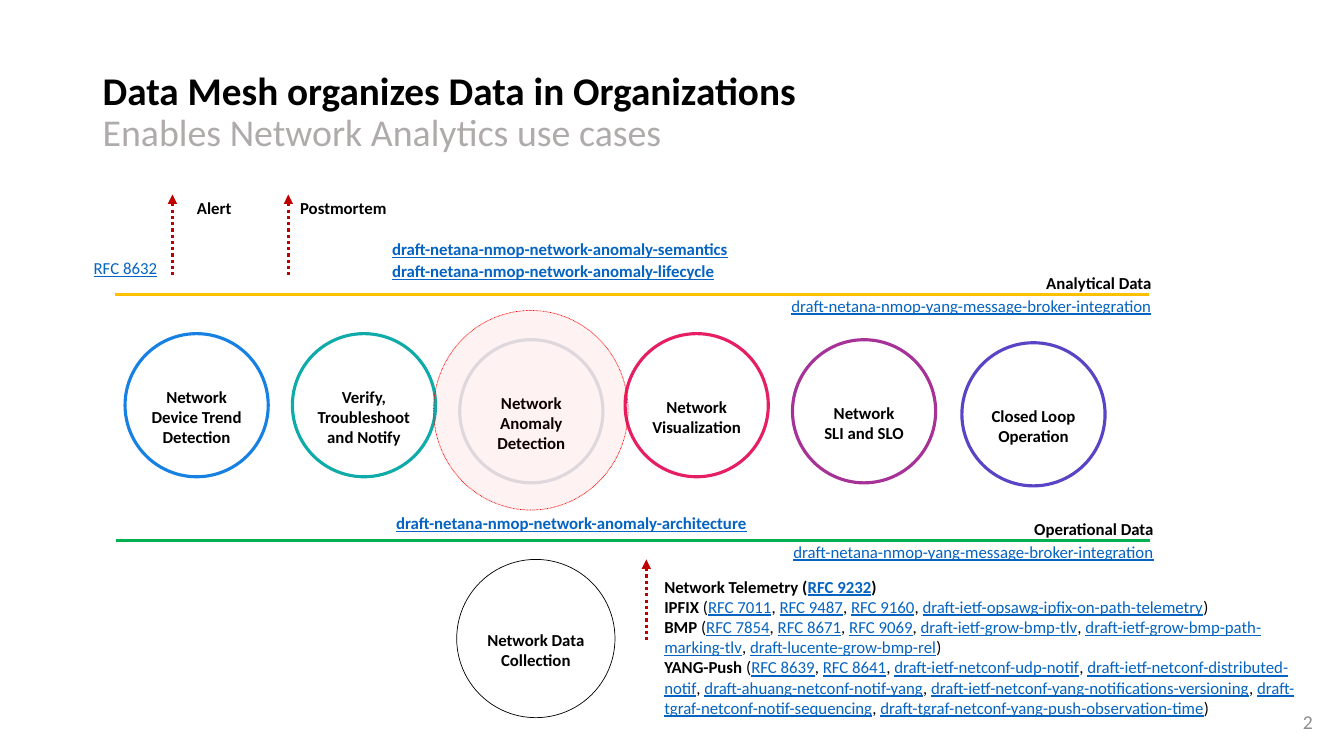
from dataclasses import dataclass

from lxml.etree import SubElement
from pptx import Presentation
from pptx.dml.color import RGBColor
from pptx.enum.dml import MSO_LINE
from pptx.enum.shapes import MSO_CONNECTOR, MSO_SHAPE
from pptx.enum.text import MSO_ANCHOR, PP_ALIGN
from pptx.oxml.ns import qn
from pptx.util import Pt

EMU_PER_PX = 9144

BLACK = RGBColor(0x00, 0x00, 0x00)
WHITE = RGBColor(0xFF, 0xFF, 0xFF)
GRAY = RGBColor(0x8C, 0x8C, 0x8C)
SUBTITLE_GRAY = RGBColor(0xAF, 0xAB, 0xAB)
LINK_BLUE = RGBColor(0x05, 0x63, 0xC1)
ARROW_RED = RGBColor(0xC0, 0x00, 0x00)
HALO_RED = RGBColor(0xFF, 0x00, 0x00)
GREEN = RGBColor(0x00, 0xB0, 0x50)
AMBER = RGBColor(0xFF, 0xC0, 0x00)
BLUE = RGBColor(0x17, 0x81, 0xE3)
TEAL = RGBColor(0x0E, 0xAB, 0xA9)
PALE_GRAY = RGBColor(0xDD, 0xE3, 0xE7)
PINK = RGBColor(0xE6, 0x1E, 0x64)
PURPLE = RGBColor(0xA6, 0x32, 0x97)
INDIGO = RGBColor(0x59, 0x44, 0xC6)


@dataclass(frozen=True)
class Style:
    size: int = 12
    color: RGBColor = BLACK
    bold: bool = False
    underline: bool = False


PLAIN = Style()
BOLD = Style(bold=True)
LINK = Style(color=LINK_BLUE, underline=True)
BOLD_LINK = Style(color=LINK_BLUE, bold=True, underline=True)

CIRCLE_SIZE = 142
USE_CASES = [
    (124, 331, BLUE, "Network Device Trend Detection"),
    (290, 331, TEAL, "Verify, Troubleshoot and Notify"),
    (954, 340, INDIGO, "Closed Loop Operation"),
    (456, 337, PALE_GRAY, "Network Anomaly Detection"),
    (620, 331, PINK, "Network Visualization"),
    (786, 337, PURPLE, "Network\vSLI and SLO"),
]
BROKER_DRAFT = "draft-netana-nmop-yang-message-broker-integration"
TELEMETRY = [
    ("IPFIX ", ["RFC 7011", "RFC 9487", "RFC 9160",
                "draft-ietf-opsawg-ipfix-on-path-telemetry"]),
    ("BMP ", ["RFC 7854", "RFC 8671", "RFC 9069", "draft-ietf-grow-bmp-tlv",
              "draft-ietf-grow-bmp-path-marking-tlv",
              "draft-lucente-grow-bmp-rel"]),
    ("YANG-Push ", ["RFC 8639", "RFC 8641", "draft-ietf-netconf-udp-notif",
                    "draft-ietf-netconf-distributed-notif",
                    "draft-ahuang-netconf-notif-yang",
                    "draft-ietf-netconf-yang-notifications-versioning",
                    "draft-tgraf-netconf-notif-sequencing",
                    "draft-tgraf-netconf-yang-push-observation-time"]),
]


def px(*lengths):
    return [length * EMU_PER_PX for length in lengths]


def set_font(font, style):
    font.name = "Calibri"
    font.size = Pt(style.size)
    font.color.rgb = style.color
    font.bold = style.bold
    font.underline = style.underline


def add_run(paragraph, text, style):
    run = paragraph.add_run()
    run.text = text
    set_font(run.font, style)


def add_box(slide, box, anchor=MSO_ANCHOR.MIDDLE):
    frame = slide.shapes.add_textbox(*px(*box)).text_frame
    frame.word_wrap = True
    frame.vertical_anchor = anchor
    return frame


def add_label(slide, box, text, style, alignment=PP_ALIGN.LEFT, spacing=1.1,
              anchor=MSO_ANCHOR.MIDDLE):
    paragraph = add_box(slide, box, anchor).paragraphs[0]
    paragraph.text = text
    paragraph.alignment = alignment
    paragraph.line_spacing = spacing
    set_font(paragraph.font, style)


def add_two_line_label(slide, box, first, second, alignment, spacing):
    """Add one paragraph of two lines, each a (text, style) pair."""
    paragraph = add_box(slide, box).paragraphs[0]
    paragraph.alignment = alignment
    paragraph.line_spacing = spacing
    add_run(paragraph, *first)
    paragraph.add_line_break()
    add_run(paragraph, *second)


def add_ellipse(slide, box, fill_color, line_color, line_width):
    shape = slide.shapes.add_shape(MSO_SHAPE.OVAL, *px(*box))
    shape.shadow.inherit = False
    shape.fill.solid()
    shape.fill.fore_color.rgb = fill_color
    shape.line.color.rgb = line_color
    shape.line.width = Pt(line_width)
    return shape


def add_circle(slide, left, top, size, color, line_width, text):
    """Add a white ring whose label sits a little below its middle."""
    shape = add_ellipse(slide, (left, top, size, size), WHITE, color, line_width)
    frame = shape.text_frame
    frame.word_wrap = True
    frame.vertical_anchor = MSO_ANCHOR.MIDDLE
    frame.margin_left = frame.margin_right = frame.margin_bottom = 0
    frame.margin_top = px(23)[0]
    paragraph = frame.paragraphs[0]
    paragraph.text = text
    paragraph.alignment = PP_ALIGN.CENTER
    set_font(paragraph.font, BOLD)


def add_halo(slide, box):
    halo = add_ellipse(slide, box, HALO_RED, HALO_RED, 0.5)
    halo.line.dash_style = MSO_LINE.ROUND_DOT
    color = halo.fill._xPr.find(qn("a:solidFill"))[0]
    SubElement(color, qn("a:alpha")).set("val", "5000")


def add_line(slide, start, end, color):
    line = slide.shapes.add_connector(MSO_CONNECTOR.STRAIGHT, *px(*start, *end))
    line.line.color.rgb = color
    line.line.width = Pt(2.25)
    SubElement(line._element.spPr, qn("a:effectLst"))
    return line


def add_up_arrow(slide, x, top):
    arrow = add_line(slide, (x, top), (x, top + 82), ARROW_RED)
    arrow.line.dash_style = MSO_LINE.ROUND_DOT
    SubElement(arrow.line._get_or_add_ln(), qn("a:headEnd")).set("type", "triangle")


def add_telemetry(slide, box):
    frame = add_box(slide, box, MSO_ANCHOR.TOP)
    heading = frame.paragraphs[0]
    add_run(heading, "Network Telemetry (", BOLD)
    add_run(heading, "RFC 9232", BOLD_LINK)
    add_run(heading, ")", BOLD)
    for protocol, references in TELEMETRY:
        paragraph = frame.add_paragraph()
        add_run(paragraph, protocol, BOLD)
        for index, reference in enumerate(references):
            add_run(paragraph, ", " if index else "(", PLAIN)
            add_run(paragraph, reference, LINK)
        add_run(paragraph, ")", PLAIN)


def main():
    presentation = Presentation()
    presentation.slide_width, presentation.slide_height = px(1333, 750)
    slide = presentation.slides.add_slide(presentation.slide_layouts[6])

    add_two_line_label(
        slide, (92, 40, 1150, 145),
        ("Data Mesh organizes Data in Organizations", Style(28, bold=True)),
        ("Enables Network Analytics use cases", Style(27, SUBTITLE_GRAY)),
        PP_ALIGN.LEFT, 0.9)
    add_label(slide, (1267, 696, 45, 40), "2", Style(14, GRAY), PP_ALIGN.RIGHT, 1.0)

    add_circle(slide, 453, 555, 157, BLACK, 0.5, "Network Data Collection")
    for left, top, color, text in USE_CASES:
        add_circle(slide, left, top, CIRCLE_SIZE, color, 2.25, text)

    add_line(slide, (115, 536), (1141, 536), GREEN)
    add_line(slide, (114, 292), (1140, 292), AMBER)
    for x, top in [(171, 193), (286, 193), (641, 555)]:
        add_up_arrow(slide, x, top)
    add_halo(slide, (430, 308, 193, 198))

    add_label(slide, (173, 190, 79, 30), "Alert", BOLD, PP_ALIGN.CENTER)
    add_label(slide, (283, 190, 115, 30), "Postmortem", BOLD, PP_ALIGN.CENTER)
    add_label(slide, (83, 251, 88, 30), "RFC 8632", LINK, spacing=1.0,
              anchor=MSO_ANCHOR.TOP)
    add_label(slide, (379, 242, 383, 30),
              "draft-netana-nmop-network-anomaly-semantics\v"
              "draft-netana-nmop-network-anomaly-lifecycle", BOLD_LINK)
    add_label(slide, (383, 503, 383, 30),
              "draft-netana-nmop-network-anomaly-architecture", BOLD_LINK)
    for left, top, title in [(667, 520, "Operational Data"), (665, 276, "Analytical Data")]:
        add_two_line_label(slide, (left, top, 487, 30), (title, BOLD),
                           (BROKER_DRAFT, LINK), PP_ALIGN.RIGHT, 1.1)
    add_telemetry(slide, (649, 567, 645, 151))

    presentation.save("out.pptx")


if __name__ == "__main__":
    main()
